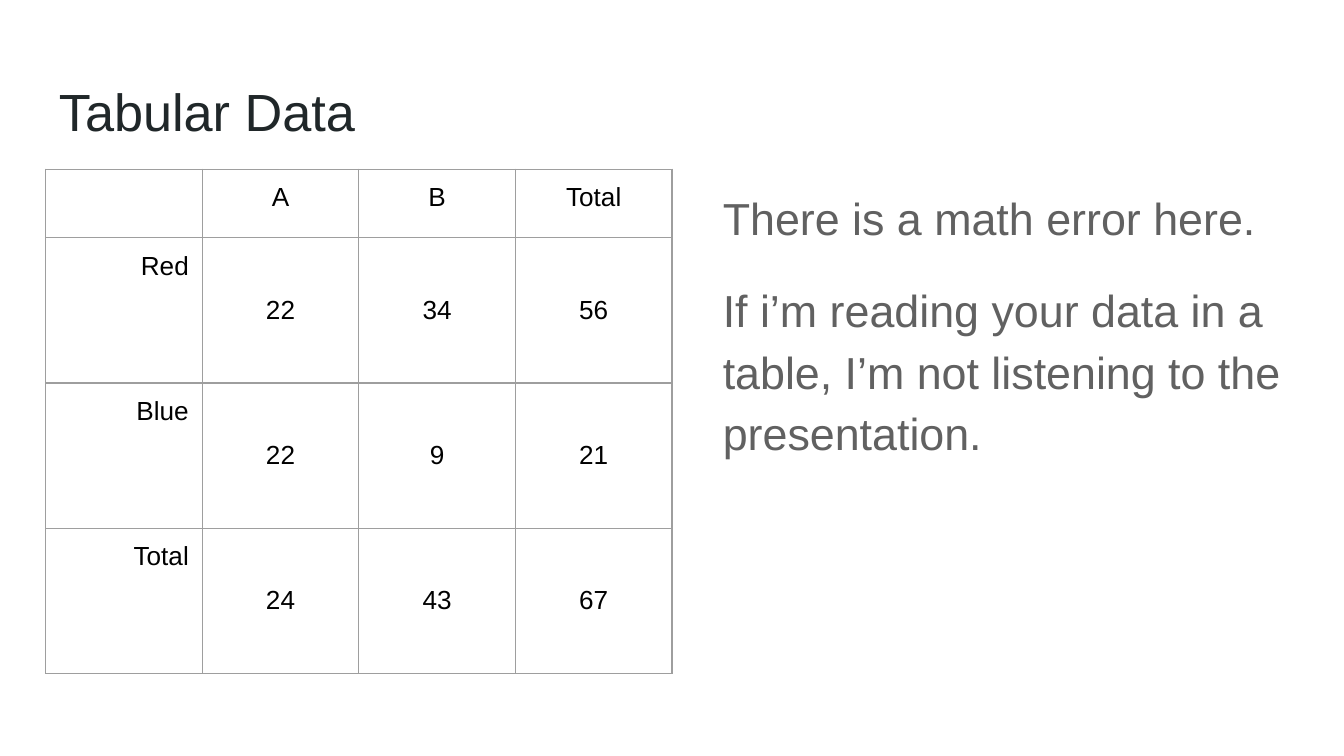
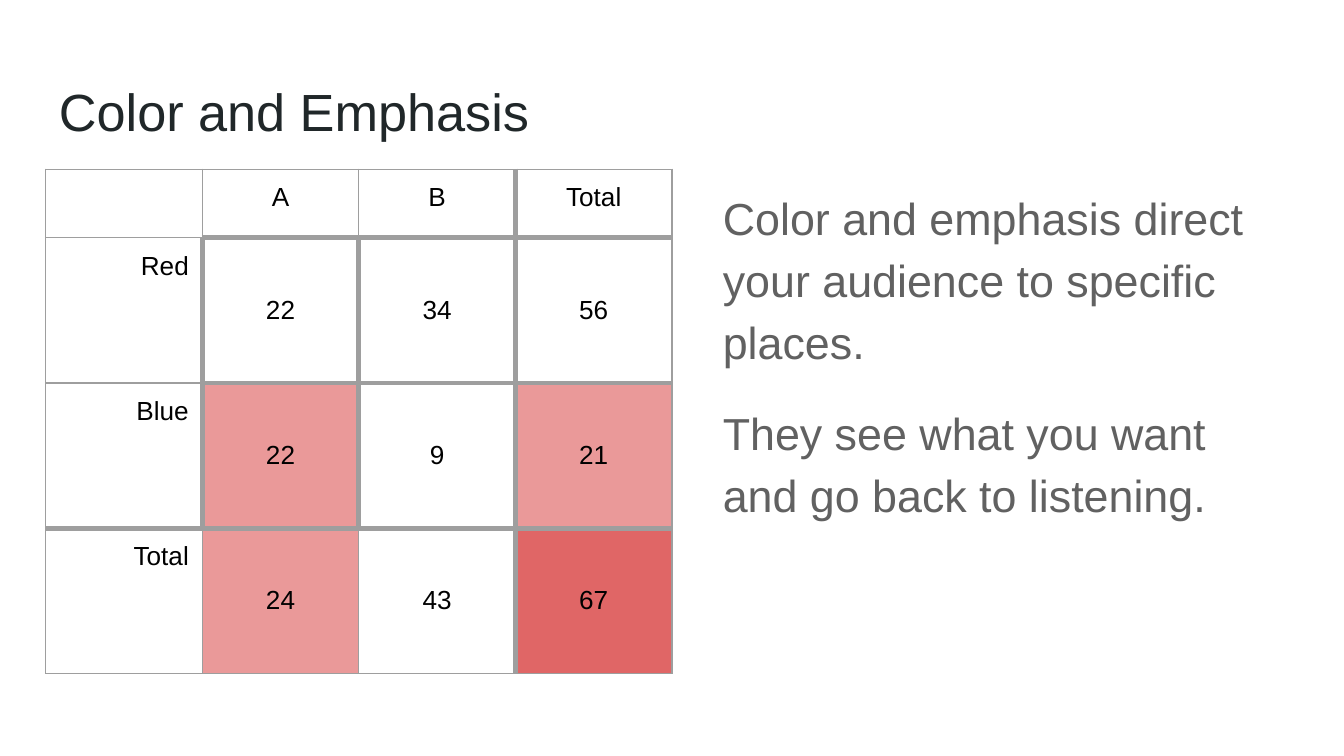
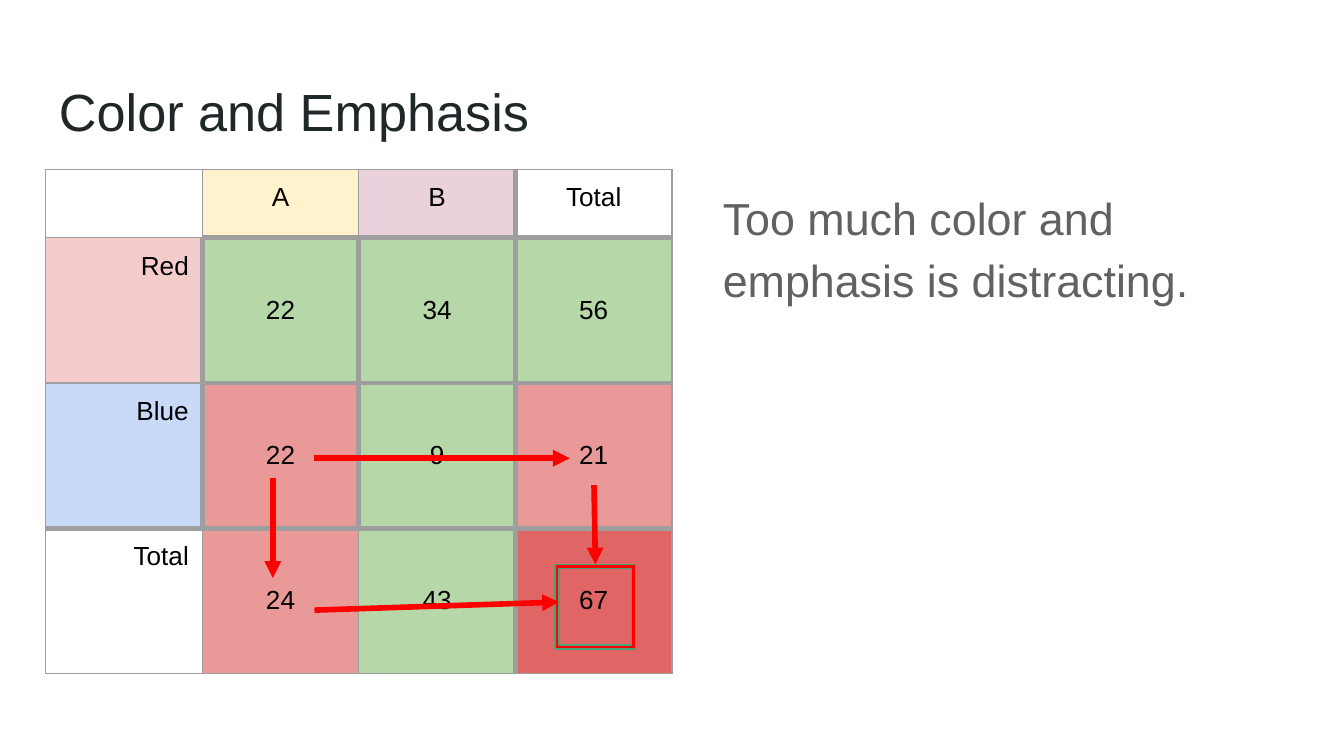
from dataclasses import dataclass, field

from lxml import etree
from pptx import Presentation
from pptx.dml.color import RGBColor
from pptx.enum import shapes, text
from pptx.oxml import ns
from pptx.util import Inches, Pt

FONT = "Arial"
TITLE_INK = RGBColor(0x20, 0x27, 0x29)
BODY_INK = RGBColor(0x61, 0x61, 0x61)
BLACK = RGBColor(0x00, 0x00, 0x00)
GRID = RGBColor(0x9E, 0x9E, 0x9E)
RED = RGBColor(0xFF, 0x00, 0x00)
FRAME_GREEN = RGBColor(0x4B, 0xA1, 0x73)
PINK = RGBColor(0xEA, 0x99, 0x99)
CORAL = RGBColor(0xE0, 0x66, 0x66)
LEAF = RGBColor(0xB6, 0xD7, 0xA8)
CREAM = RGBColor(0xFF, 0xF2, 0xCC)
MAUVE = RGBColor(0xEA, 0xD1, 0xDC)
BLUSH = RGBColor(0xF4, 0xCC, 0xCC)
SKY = RGBColor(0xC9, 0xDA, 0xF8)

COUNTS = (
    ("", "A", "B", "Total"),
    ("Red", "22", "34", "56"),
    ("Blue", "22", "9", "21"),
    ("Total", "24", "43", "67"),
)
SIZE = len(COUNTS)
LAST = SIZE - 1
SLIDE_WIDTH = Inches(10)
SLIDE_HEIGHT = SLIDE_WIDTH * 9 // 16
TABLE_WIDTH = Inches(4.66)
ROW_HEIGHTS = (0.51, 1.08, 1.08, 1.08)
INSET = Inches(0.1)
THIN, THICK = 0.75, 3

ERROR_FILLS = {(2, 1): PINK, (2, 3): PINK, (3, 1): PINK, (3, 3): CORAL}
HEADING_FILLS = {(0, 1): CREAM, (0, 2): MAUVE, (1, 0): BLUSH, (2, 0): SKY}
CORRECT_FILLS = {(1, 1): LEAF, (1, 2): LEAF, (1, 3): LEAF, (2, 2): LEAF, (3, 2): LEAF}


@dataclass(frozen=True)
class Arrow:
    """A red arrow, in inches; it may end on top of the total's frame."""

    x1: float
    y1: float
    x2: float
    y2: float
    meets_frame: bool = False


@dataclass(frozen=True)
class Lesson:
    """One slide: its title, its remarks and how its table is dressed."""

    title: str
    remarks: tuple[str, ...]
    fills: dict = field(default_factory=dict)
    heavy_grid: bool = False
    arrows: tuple[Arrow, ...] = ()


LESSONS = (
    Lesson(
        "Tabular Data",
        (
            "There is a math error here.",
            "If i’m reading your data in a table, I’m not listening to the presentation.",
        ),
    ),
    Lesson(
        "Color and Emphasis",
        (
            "Color and emphasis direct your audience to specific places.",
            "They see what you want and go back to listening.",
        ),
        ERROR_FILLS,
        True,
    ),
    Lesson(
        "Color and Emphasis",
        ("Too much color and emphasis is distracting.",),
        ERROR_FILLS | HEADING_FILLS | CORRECT_FILLS,
        True,
        (
            Arrow(2.03, 3.56, 2.03, 4.3),
            Arrow(2.34, 3.41, 4.24, 3.41),
            Arrow(2.34, 4.54, 4.16, 4.48),
            Arrow(4.42, 3.61, 4.43, 4.2, True),
        ),
    ),
)


def add_run(paragraph, words: str, size: float, ink: RGBColor) -> None:
    """Add one styled run to a paragraph."""
    run = paragraph.add_run()
    run.text = words
    run.font.name = FONT
    run.font.size = Pt(size)
    run.font.color.rgb = ink


def add_text(slide, box: tuple, lines: tuple[str, ...], size: float, ink: RGBColor,
             spacing: float = 1.0) -> None:
    """Add a wrapped text box with one paragraph per line."""
    frame = slide.shapes.add_textbox(*map(Inches, box)).text_frame
    frame.word_wrap = True
    frame.margin_left = frame.margin_right = INSET
    frame.margin_top = frame.margin_bottom = INSET
    for index, line in enumerate(lines):
        paragraph = frame.add_paragraph() if index else frame.paragraphs[0]
        paragraph.line_spacing = spacing
        paragraph.space_before = Pt(16 if index else 0)
        add_run(paragraph, line, size, ink)


def border_widths(row: int, column: int, heavy: bool) -> dict[str, float]:
    """Give the width of each side of a cell, equal for neighbouring cells."""

    def width(edge: int, in_heavy_lane: bool) -> float:
        thick = edge == LAST or (0 < edge < LAST and in_heavy_lane)
        return THICK if heavy and thick else THIN

    return {
        "lnL": width(column, 0 < row < LAST),
        "lnR": width(column + 1, 0 < row < LAST),
        "lnT": width(row, column > 0),
        "lnB": width(row + 1, column > 0),
    }


def add_border(cell, side: str, width: float) -> None:
    """Draw one side of a cell."""
    properties = cell._tc.get_or_add_tcPr()
    line = etree.SubElement(properties, ns.qn(f"a:{side}"), w=str(Pt(width)))
    fill = etree.SubElement(line, ns.qn("a:solidFill"))
    etree.SubElement(fill, ns.qn("a:srgbClr"), val=str(GRID))


def add_counts(slide, lesson: Lesson) -> None:
    """Add the table of counts."""
    table = slide.shapes.add_table(
        SIZE, SIZE, Inches(0.34), Inches(1.26), TABLE_WIDTH, Inches(sum(ROW_HEIGHTS))
    ).table
    table.first_row = table.horz_banding = False
    for r, (height, values) in enumerate(zip(ROW_HEIGHTS, COUNTS)):
        table.rows[r].height = Inches(height)
        for c, value in enumerate(values):
            cell = table.cell(r, c)
            cell.margin_left = cell.margin_right = INSET
            cell.margin_top = cell.margin_bottom = INSET
            for side, width in border_widths(r, c, lesson.heavy_grid).items():
                add_border(cell, side, width)
            if (r, c) in lesson.fills:
                cell.fill.solid()
                cell.fill.fore_color.rgb = lesson.fills[r, c]
            else:
                cell.fill.background()
            if r and c:
                cell.vertical_anchor = text.MSO_ANCHOR.MIDDLE
            if value:
                paragraph = cell.text_frame.paragraphs[0]
                paragraph.alignment = text.PP_ALIGN.CENTER if c else text.PP_ALIGN.RIGHT
                add_run(paragraph, value, 14, BLACK)


def add_total_frame(slide):
    """Add the frame around the grand total."""
    frame = slide.shapes.add_shape(
        shapes.MSO_SHAPE.FRAME, Inches(4.13), Inches(4.2), Inches(0.6), Inches(0.63)
    )
    frame.adjustments[0] = 0.05
    frame.shadow.inherit = False
    frame.fill.solid()
    frame.fill.fore_color.rgb = RED
    frame.line.color.rgb = FRAME_GREEN
    frame.line.width = Pt(0.75)
    return frame


def add_arrow(slide, arrow: Arrow, total_frame) -> None:
    """Add a red arrow, joined to the frame where it meets it."""
    connector = slide.shapes.add_connector(
        shapes.MSO_CONNECTOR.STRAIGHT,
        *map(Inches, (arrow.x1, arrow.y1, arrow.x2, arrow.y2)),
    )
    if arrow.meets_frame:
        connector.end_connect(total_frame, 0)
    connector.line.color.rgb = RED
    connector.line.width = Pt(3)
    etree.SubElement(connector.line._get_or_add_ln(), ns.qn("a:tailEnd"), type="triangle")
    etree.SubElement(connector._element.spPr, ns.qn("a:effectLst"))


def add_lesson(deck, lesson: Lesson) -> None:
    """Add one slide with its title, remarks, table and arrows."""
    slide = deck.slides.add_slide(deck.slide_layouts[6])
    add_text(slide, (0.34, 0.49, 9.32, 0.63), (lesson.title,), 28, TITLE_INK)
    add_text(slide, (5.28, 1.26, 4.37, 3.74), lesson.remarks, 24, BODY_INK, 1.15)
    add_counts(slide, lesson)
    if lesson.arrows:
        total_frame = add_total_frame(slide)
        for arrow in lesson.arrows:
            add_arrow(slide, arrow, total_frame)


def main() -> None:
    """Build the deck and save it."""
    deck = Presentation()
    deck.slide_width, deck.slide_height = SLIDE_WIDTH, SLIDE_HEIGHT
    for lesson in LESSONS:
        add_lesson(deck, lesson)
    deck.save("out.pptx")


if __name__ == "__main__":
    main()
